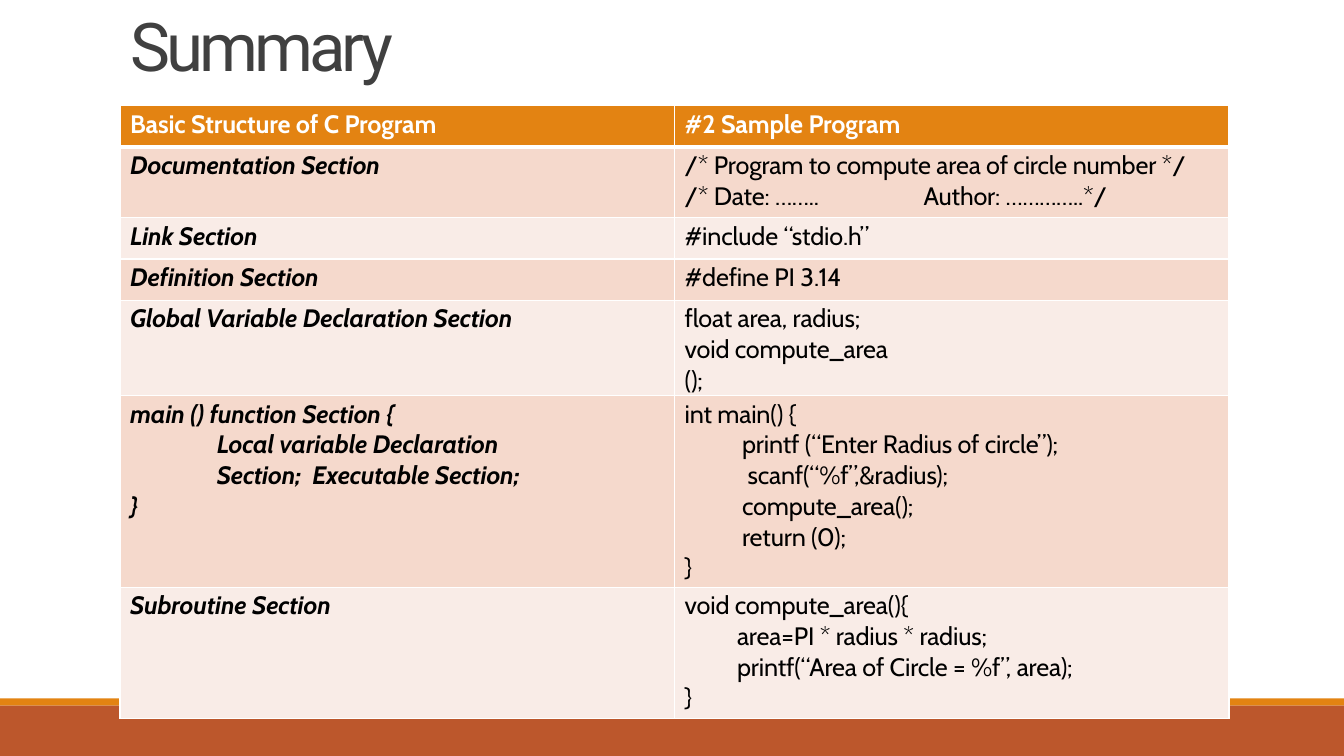
from lxml import etree
from pptx import Presentation
from pptx import util as u
from pptx.dml.color import RGBColor
from pptx.enum import shapes, text
from pptx.oxml import ns

ORANGE = RGBColor(0xE3, 0x83, 0x12)
RUST = RGBColor(0xBC, 0x57, 0x2C)
DARK_TINT = RGBColor(0xF5, 0xD9, 0xCC)
LIGHT_TINT = RGBColor(0xF9, 0xEC, 0xE7)
GREY = RGBColor(0x40, 0x40, 0x40)
BLACK = RGBColor(0, 0, 0)
WHITE = RGBColor(0xFF, 0xFF, 0xFF)

WIDTH, HEIGHT = u.Inches(13.33), u.Inches(7.5)
INDENT = 0.1
ROW_HEIGHTS = [0.41, 0.7, 0.41, 0.41, 0.7, 1.9, 1.3]

# Each cell is a list of (left indent in inches, text) paragraphs.
ROWS = [
    ([(INDENT, "Basic Structure of C Program")],
     [(INDENT, "#2 Sample Program")]),
    ([(INDENT, "Documentation Section")],
     [(INDENT, "/* Program to compute area of circle number */"),
      (INDENT, "/* Date: ……..\tAuthor: …………..*/")]),
    ([(INDENT, "Link Section")],
     [(INDENT, "#include “stdio.h”")]),
    ([(INDENT, "Definition Section")],
     [(INDENT, "#define PI 3.14")]),
    ([(INDENT, "Global Variable Declaration Section")],
     [(INDENT, "float area, radius;\vvoid compute_area\v();")]),
    ([(INDENT, "main () function Section {"),
      (0.96, "Local variable Declaration\vSection;  Executable Section;"),
      (INDENT, "}")],
     [(INDENT, "int main() {"),
      (0.67, "printf (“Enter Radius of circle”);\v scanf(“%f”,&radius);\vcompute_area();"),
      (0.67, "return (0);"),
      (INDENT, "}")]),
    ([(INDENT, "Subroutine Section")],
     [(INDENT, "void compute_area(){"),
      (0.62, "area=PI * radius * radius;\vprintf(“Area of Circle = %f”, area);"),
      (INDENT, "}")]),
]


def format_runs(paragraph, font_name, size, color, spacing, bold=False, italic=False):
    """Style every run; spacing is the character spacing in points."""
    for run in paragraph.runs:
        font = run.font
        font.name, font.size = font_name, u.Pt(size)
        font.bold, font.italic = bold, italic
        font.color.rgb = color
        run._r.get_or_add_rPr().set("spc", str(round(spacing * 100)))


def add_footer_bands(slide, top, height):
    stripe = u.Inches(0.07)
    for band_top, band_height, color in ((top, stripe, ORANGE),
                                         (top + stripe, height - stripe, RUST)):
        band = slide.shapes.add_shape(shapes.MSO_SHAPE.RECTANGLE, 0, band_top, WIDTH, band_height)
        band.shadow.inherit = False
        band.fill.solid()
        band.fill.fore_color.rgb = color
        band.line.fill.background()


def place_title(slide, left, top, width, height):
    title = slide.shapes.title
    title.left, title.top, title.width, title.height = left, top, width, height
    frame = title.text_frame
    frame.text = "Summary:"
    frame.word_wrap = True
    frame.auto_size = text.MSO_AUTO_SIZE.NONE
    frame.vertical_anchor = text.MSO_ANCHOR.TOP
    frame.margin_left = frame.margin_right = frame.margin_bottom = 0
    frame.margin_top = u.Inches(0.01)
    paragraph = frame.paragraphs[0]
    paragraph.alignment = text.PP_ALIGN.LEFT
    paragraph.space_before = u.Pt(1)
    format_runs(paragraph, "Roboto", 48, GREY, -2.8)


def add_borders(cell, top_width, bottom_width):
    properties = cell._tc.get_or_add_tcPr()
    for side, width in (("L", 1), ("R", 1), ("T", top_width), ("B", bottom_width)):
        line = etree.SubElement(properties, ns.qn(f"a:ln{side}"), w=str(u.Pt(width)))
        fill = etree.SubElement(line, ns.qn("a:solidFill"))
        etree.SubElement(fill, ns.qn("a:srgbClr"), val=str(WHITE))


def add_tab_stop(paragraph, position):
    tabs = etree.SubElement(paragraph._p.get_or_add_pPr(), ns.qn("a:tabLst"))
    etree.SubElement(tabs, ns.qn("a:tab"), pos=str(position), algn="l")


def fill_cell(cell, lines, row, column):
    header = row == 0
    add_borders(cell, 3 if row == 1 else 1, 3 if header else 1)
    cell.fill.solid()
    cell.fill.fore_color.rgb = ORANGE if header else (DARK_TINT if row % 2 else LIGHT_TINT)
    cell.margin_left = cell.margin_right = cell.margin_bottom = 0
    cell.margin_top = u.Inches(0.03)
    frame = cell.text_frame
    for index, (indent, line) in enumerate(lines):
        paragraph = frame.add_paragraph() if index else frame.paragraphs[0]
        paragraph.text = line
        paragraph.space_before = u.Pt(0 if index else 2.4)
        paragraph._p.get_or_add_pPr().set("marL", str(u.Inches(indent)))
        if "\t" in line:
            add_tab_stop(paragraph, u.Inches(2.37))
        format_runs(paragraph, "Cabin", 18, WHITE if header else BLACK, -0.1,
                    bold=header or column == 0, italic=not header and column == 0)


def add_program_table(slide, left, top, width):
    height = u.Inches(sum(ROW_HEIGHTS))
    table = slide.shapes.add_table(len(ROWS), 2, left, top, width, height).table
    for row, cells in enumerate(ROWS):
        table.rows[row].height = u.Inches(ROW_HEIGHTS[row])
        for column, lines in enumerate(cells):
            fill_cell(table.cell(row, column), lines, row, column)


def main():
    presentation = Presentation()
    presentation.slide_width, presentation.slide_height = WIDTH, HEIGHT
    slide = presentation.slides.add_slide(presentation.slide_layouts[5])
    add_footer_bands(slide, u.Inches(6.93), HEIGHT - u.Inches(6.93))
    place_title(slide, u.Inches(1.29), u.Inches(0.03), u.Inches(2.7), u.Inches(0.83))
    add_program_table(slide, u.Inches(1.19), u.Inches(1.05), u.Inches(11))
    presentation.save("out.pptx")


if __name__ == "__main__":
    main()
